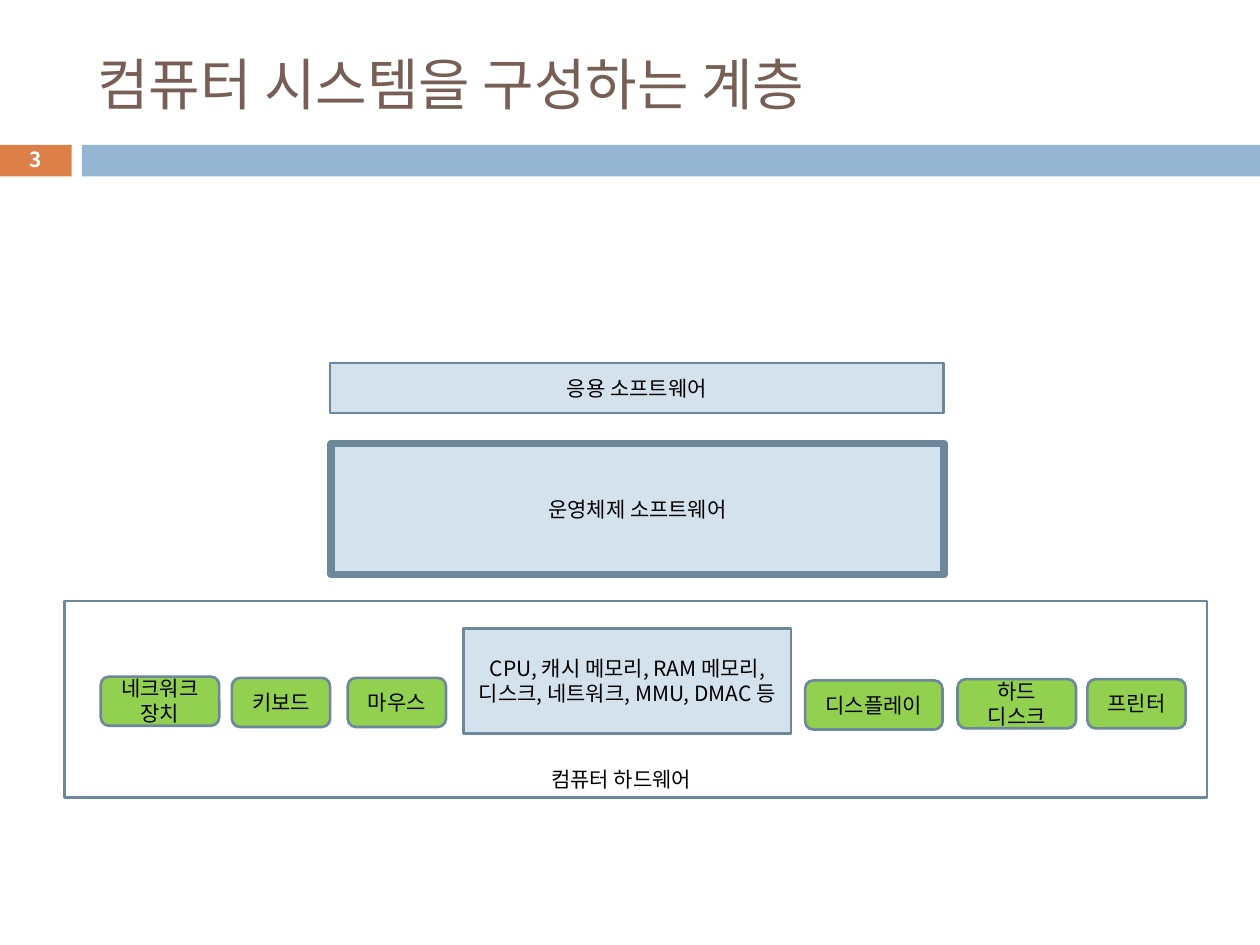
"""Build a slide showing the layers of a computer system."""
import pptx
import pptx.dml.color
import pptx.enum.shapes
import pptx.enum.text
import pptx.oxml
import pptx.oxml.ns
import pptx.util
from pptx.util import Inches

COLORS = {
    "title": "775F55",
    "number": "DD8047",
    "band": "94B6D2",
    "layer": "D4E2ED",
    "device": "92D050",
    "outline": "6D879B",
    "text": "000000",
    "white": "FFFFFF",
}
FONT = "Noto Sans CJK KR"
RECTANGLE = pptx.enum.shapes.MSO_SHAPE.RECTANGLE
ROUNDED = pptx.enum.shapes.MSO_SHAPE.ROUNDED_RECTANGLE
CENTER = pptx.enum.text.PP_ALIGN.CENTER
LEFT = pptx.enum.text.PP_ALIGN.LEFT
MIDDLE = pptx.enum.text.MSO_ANCHOR.MIDDLE


class SlideBuilder:
    """Hold the style and the current slide."""

    def __init__(self, slide):
        self.slide = slide

    def color(self, name):
        return pptx.dml.color.RGBColor.from_string(COLORS[name])

    def set_text(self, shape, text, size=12, color="text", bold=False, align=CENTER, spacing=None):
        frame = shape.text_frame
        frame.text = text
        frame.vertical_anchor = MIDDLE
        for paragraph in frame.paragraphs:
            paragraph.alignment = align
            if spacing:
                paragraph.line_spacing = pptx.util.Pt(spacing)
            for run in paragraph.runs:
                run.font.size = pptx.util.Pt(size)
                run.font.name = FONT
                run.font.bold = bold
                run.font.color.rgb = self.color(color)
                properties = run.font._element
                latin = properties.find(pptx.oxml.ns.qn("a:latin"))
                east_asian = properties.makeelement(pptx.oxml.ns.qn("a:ea"), {"typeface": FONT})
                latin.addnext(east_asian)

    def title(self, text, left, top, width, height):
        shape = self.slide.shapes.title
        shape.left, shape.top = Inches(left), Inches(top)
        shape.width, shape.height = Inches(width), Inches(height)
        self.set_text(shape, text, size=32, color="title", align=LEFT)

    def box(self, left, top, width, height, text="", fill=None, line=1.5, kind=RECTANGLE, spacing=None):
        shape = self.slide.shapes.add_shape(
            kind, Inches(left), Inches(top), Inches(width), Inches(height)
        )
        shape.shadow.inherit = False
        if fill:
            shape.fill.solid()
            shape.fill.fore_color.rgb = self.color(fill)
        else:
            shape.fill.background()
        if line:
            shape.line.color.rgb = self.color("outline")
            shape.line.width = pptx.util.Pt(line)
        else:
            shape.line.fill.background()
        if text:
            shape.text_frame.word_wrap = True
            self.set_text(shape, text, spacing=spacing)

    def label(self, text, left, top, width, height, wrap=False, **style):
        shape = self.slide.shapes.add_textbox(
            Inches(left), Inches(top), Inches(width), Inches(height)
        )
        shape.text_frame.word_wrap = wrap
        self.set_text(shape, text, **style)


def main():
    presentation = pptx.Presentation()
    presentation.slide_width, presentation.slide_height = Inches(10), Inches(7.5)
    builder = SlideBuilder(presentation.slides.add_slide(presentation.slide_layouts[5]))

    builder.box(0, 1.15, 0.57, 0.25, fill="number", line=None)
    builder.box(0.65, 1.15, 9.35, 0.25, fill="band", line=None)
    builder.title("컴퓨터 시스템을 구성하는 계층", 0.67, 0.25, 8.92, 0.82)
    builder.label("3", 0, 1.13, 0.57, 0.27, wrap=True, size=11.9, color="white", bold=True)

    builder.box(2.62, 2.88, 4.87, 0.4, "응용 소프트웨어", fill="layer")
    builder.box(2.63, 3.52, 4.86, 1.04, "운영체제 소프트웨어", fill="layer", line=4.5)
    builder.box(0.51, 4.77, 9.07, 1.56)
    builder.box(
        3.68, 4.99, 2.6, 0.83,
        "CPU, 캐시 메모리, RAM 메모리, 디스크, 네트워크, MMU, DMAC 등",
        fill="layer", spacing=14.3,
    )
    builder.label("컴퓨터 하드웨어", 4.21, 6.03, 1.44, 0.3)

    devices = [
        ("네크워크\n장치", 0.8, 5.37, 0.94),
        ("키보드", 1.84, 5.38, 0.78),
        ("마우스", 2.76, 5.38, 0.78),
        ("디스플레이", 6.39, 5.4, 1.09),
        ("하드\n디스크", 7.6, 5.39, 0.94),
        ("프린터", 8.63, 5.39, 0.78),
    ]
    for name, left, top, width in devices:
        builder.box(left, top, width, 0.39, name, fill="device", kind=ROUNDED, spacing=14.3)

    presentation.save("out.pptx")


if __name__ == "__main__":
    main()
